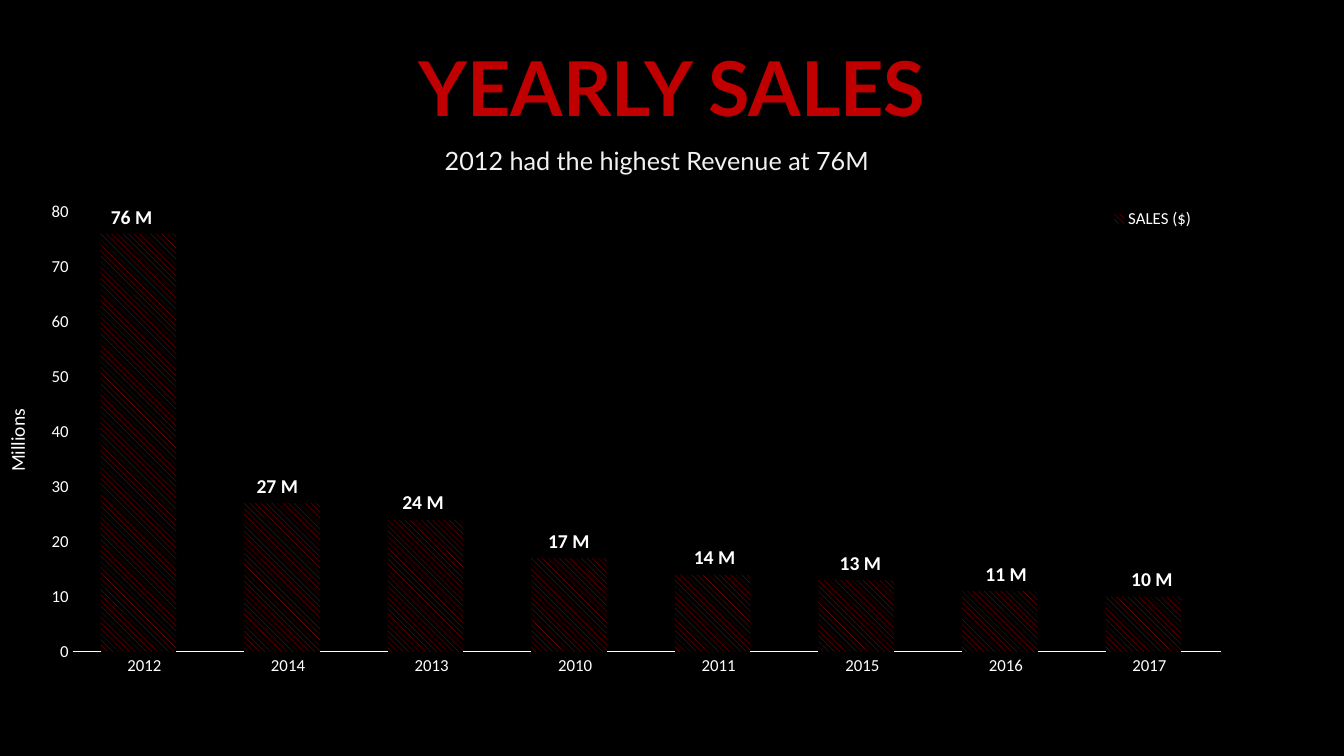
from lxml import etree
from pptx import Presentation
from pptx.chart.data import CategoryChartData as ChartData
from pptx.dml.color import RGBColor
from pptx.enum.chart import XL_CHART_TYPE as Kind
from pptx.enum.chart import XL_LEGEND_POSITION as Side
from pptx.enum.chart import XL_TICK_MARK as Tick
from pptx.enum.dml import MSO_PATTERN as Pattern
from pptx.enum.text import MSO_ANCHOR as Anchor
from pptx.enum.text import PP_ALIGN as Align
from pptx.oxml.ns import qn
from pptx.util import Inches, Pt

BLACK = RGBColor(0x00, 0x00, 0x00)
WHITE = RGBColor(0xFF, 0xFF, 0xFF)
PALE = RGBColor(0xF2, 0xF2, 0xF2)
RED = RGBColor(0xC0, 0x00, 0x00)
MAUVE = RGBColor(0x87, 0x84, 0xC7)
SLATE = RGBColor(0x5D, 0x73, 0x9A)

SALES = {"2012": 76, "2014": 27, "2013": 24, "2010": 17,
         "2011": 14, "2015": 13, "2016": 11, "2017": 10}
TOP = 80  # end of the value axis


def add_text(slide, text, box, size, color, font="Calibri", bold=False):
    shape = slide.shapes.add_textbox(*map(Inches, box))
    frame = shape.text_frame
    frame.word_wrap = True
    frame.text = text
    style = frame.paragraphs[0].runs[0].font
    style.name, style.size, style.bold = font, Pt(size), bold
    style.color.rgb = color
    return shape


def add_head(slide, text, box, size, color, bold=False):
    frame = add_text(slide, text, box, size, color, "Lato", bold).text_frame
    frame.margin_left = frame.margin_right = 0
    frame.margin_top = frame.margin_bottom = 0
    frame.paragraphs[0].alignment = Align.CENTER


def set_font(font, size):
    font.name, font.size = "Calibri", Pt(size)
    font.color.rgb = WHITE


def make_layout(inner, **spots):
    layout = etree.Element(qn("c:layout"))
    manual = etree.SubElement(layout, qn("c:manualLayout"))
    if inner:
        etree.SubElement(manual, qn("c:layoutTarget")).set("val", "inner")
    for mode in ("xMode", "yMode"):
        etree.SubElement(manual, qn("c:" + mode)).set("val", "edge")
    for key, value in spots.items():
        etree.SubElement(manual, qn("c:" + key)).set("val", str(value))
    return layout


def place_plot(chart):
    area = chart.plots[0]._element.getparent()
    for old in area.findall(qn("c:layout")):
        area.remove(old)
    area.insert(0, make_layout(True, x=0.036, y=0.041, w=0.871, h=0.891))


def add_legend(chart):
    chart.has_legend = True
    legend = chart.legend
    legend.position = Side.RIGHT
    legend.include_in_layout = False
    set_font(legend.font, 12)
    root = legend._element
    for old in root.findall(qn("c:layout")):
        root.remove(old)
    root.find(qn("c:legendPos")).addnext(
        make_layout(False, x=0.82, y=0.03, w=0.07, h=0.05))
    # Hide the entries of the two empty series
    for index in (2, 1):
        entry = etree.Element(qn("c:legendEntry"))
        etree.SubElement(entry, qn("c:idx")).set("val", str(index))
        etree.SubElement(entry, qn("c:delete")).set("val", "1")
        root.find(qn("c:legendPos")).addnext(entry)


def style_axes(chart):
    for axis in (chart.category_axis, chart.value_axis):
        axis.major_tick_mark = axis.minor_tick_mark = Tick.NONE
        axis.has_major_gridlines = False
        set_font(axis.tick_labels.font, 12)
    line = chart.category_axis.format.line
    line.color.rgb, line.width = WHITE, Pt(0.75)
    scale = chart.value_axis
    scale.minimum_scale, scale.maximum_scale, scale.major_unit = 0, TOP, 10
    scale.format.line.fill.background()


def add_bars(slide):
    data = ChartData()
    data.categories = list(SALES)
    data.add_series("SALES ($)", list(SALES.values()))
    for name in ("Column1", "Column2"):
        data.add_series(name, [None] * len(SALES))
    box = map(Inches, (0.25, 1.9, 13.08, 4.9))
    chart = slide.shapes.add_chart(Kind.COLUMN_CLUSTERED, *box, data).chart
    chart.has_title = False
    set_font(chart.font, 10)
    plot = chart.plots[0]
    plot.vary_by_categories = False
    plot.gap_width, plot.overlap = 74, 92
    sales, *blanks = plot.series
    fill = sales.format.fill
    fill.patterned()
    fill.pattern = Pattern.WIDE_DOWNWARD_DIAGONAL
    fill.fore_color.rgb, fill.back_color.rgb = RED, BLACK
    for series, color in zip(blanks, (MAUVE, SLATE)):
        series.format.fill.solid()
        series.format.fill.fore_color.rgb = color
    style_axes(chart)
    add_legend(chart)
    place_plot(chart)


def main():
    deck = Presentation()
    deck.slide_width, deck.slide_height = Inches(13.33), Inches(7.5)
    slide = deck.slides.add_slide(deck.slide_layouts[6])
    back = slide.background.fill
    back.solid()
    back.fore_color.rgb = BLACK

    # Headings
    add_head(slide, "YEARLY SALES", (0, 0.41, 13.33, 0.91), 54, RED, True)
    add_head(slide, "2012 had the highest Revenue at 76M",
             (0, 1.44, 13.03, 0.31), 18, PALE)

    # Chart and the title of its value axis
    add_bars(slide)
    unit = add_text(slide, "Millions", (-0.25, 4.19, 0.84, 0.34), 14, WHITE)
    unit.rotation = 270
    unit.text_frame.word_wrap = False
    unit.text_frame.vertical_anchor = Anchor.MIDDLE

    # Labels that follow the bar tops
    for i, value in enumerate(SALES.values()):
        left, top = 1 + i * 10.12 / 7, 6.12 - 4.35 * value / TOP
        add_text(slide, f"{value} M", (left, top, 0.78, 0.34), 14, WHITE,
                 bold=True)

    deck.save("out.pptx")


if __name__ == "__main__":
    main()
